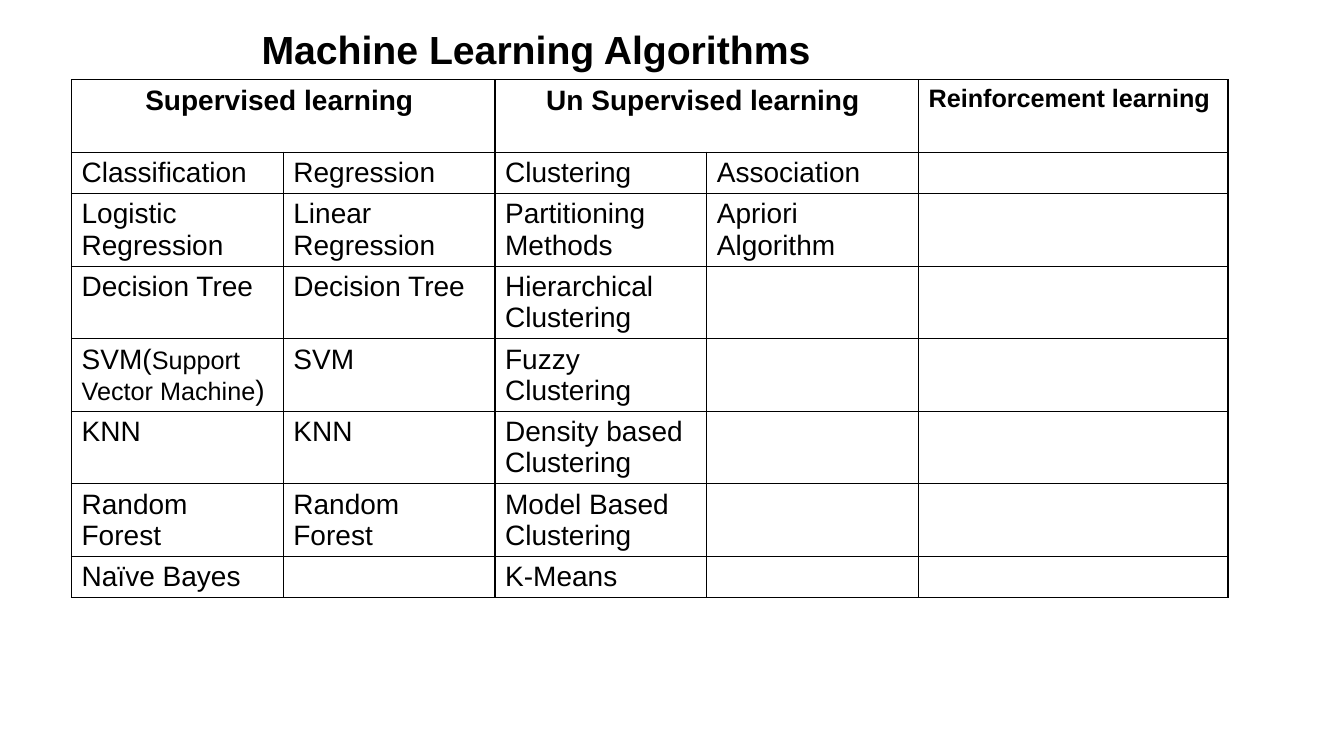
from lxml.etree import SubElement
from pptx import Presentation
from pptx.dml.color import RGBColor
from pptx.enum.text import MSO_ANCHOR, MSO_AUTO_SIZE, PP_ALIGN
from pptx.oxml.ns import qn
from pptx.util import Pt

BLACK = RGBColor(0x00, 0x00, 0x00)
FONT = "Arial"
EMU_PER_PX = 9144  # 100 px to the inch
TITLE_ONLY_LAYOUT = 5

COLUMN_WIDTHS = [210, 210, 210, 210, 307]
ROW_HEIGHTS = [72, 41, 72, 72, 72, 72, 72, 41]

# Header text: (first column, last column, size, alignment)
HEADERS = {
    "Supervised learning ": (0, 1, 20, PP_ALIGN.CENTER),
    "Un Supervised learning ": (2, 3, 20, PP_ALIGN.CENTER),
    "Reinforcement learning": (4, 4, 18, PP_ALIGN.LEFT),
}

# A list inside a row holds the (text, size) runs of one cell
SVM_RUNS = [("SVM(", 20), ("Support Vector Machine", 18), (")", 20)]
ALGORITHMS = [
    ["Classification", "Regression", "Clustering", "Association", ""],
    ["Logistic Regression", "Linear Regression", "Partitioning Methods",
     "Apriori Algorithm", ""],
    ["Decision Tree", "Decision Tree", "Hierarchical Clustering", "", ""],
    [SVM_RUNS, "SVM", "Fuzzy Clustering", "", ""],
    ["KNN", "KNN", "Density based Clustering", "", ""],
    ["Random Forest", "Random Forest", "Model Based Clustering", "", ""],
    ["Naïve Bayes", "", "K-Means", "", ""],
]


def px(length):
    return length * EMU_PER_PX


def add_text(paragraph, text, size=20, bold=False, align=PP_ALIGN.LEFT):
    paragraph.alignment = align
    run = paragraph.add_run()
    run.text = text
    run.font.name = FONT
    run.font.size = Pt(size)
    run.font.bold = bold
    run.font.color.rgb = BLACK


class SlideBuilder:
    def __init__(self, slide, border_color=BLACK, border_width=1):
        self.slide = slide
        self.border_color = border_color
        self.border_width = border_width

    def title(self, text, left, top, width, height):
        shape = self.slide.shapes.title
        shape.left, shape.top = px(left), px(top)
        shape.width, shape.height = px(width), px(height)
        frame = shape.text_frame
        frame.auto_size = MSO_AUTO_SIZE.NONE
        frame.vertical_anchor = MSO_ANCHOR.MIDDLE
        paragraph = frame.paragraphs[0]
        paragraph.line_spacing = 0.9
        add_text(paragraph, text, size=28, bold=True, align=PP_ALIGN.CENTER)

    def table(self, left, top, widths, heights):
        table = self.slide.shapes.add_table(
            len(heights), len(widths), px(left), px(top),
            px(sum(widths)), px(sum(heights))).table
        table.first_row = table.horz_banding = False
        for column, width in zip(table.columns, widths):
            column.width = px(width)
        for row, height in zip(table.rows, heights):
            row.height = px(height)
        for cell in table.iter_cells():
            self.border(cell)
            cell.fill.background()
        return table

    def border(self, cell):
        properties = cell._tc.get_or_add_tcPr()
        for side in ("a:lnL", "a:lnR", "a:lnT", "a:lnB"):
            line = SubElement(properties, qn(side), w=str(Pt(self.border_width)))
            fill = SubElement(line, qn("a:solidFill"))
            SubElement(fill, qn("a:srgbClr"), val=str(self.border_color))


def main():
    presentation = Presentation()
    presentation.slide_width = px(1333)
    presentation.slide_height = px(750)
    layout = presentation.slide_layouts[TITLE_ONLY_LAYOUT]
    builder = SlideBuilder(presentation.slides.add_slide(layout))

    # Title
    builder.title("Machine Learning Algorithms ", 71, 16, 932, 71)

    # Table grid
    table = builder.table(71, 79, COLUMN_WIDTHS, ROW_HEIGHTS)

    # Header row
    for text, (first, last, size, align) in HEADERS.items():
        cell = table.cell(0, first)
        if last > first:
            cell.merge(table.cell(0, last))
        add_text(cell.text_frame.paragraphs[0], text, size=size, bold=True,
                 align=align)

    # Algorithm rows
    for row, entries in enumerate(ALGORITHMS, start=1):
        for column, entry in enumerate(entries):
            if not entry:
                continue
            paragraph = table.cell(row, column).text_frame.paragraphs[0]
            runs = entry if isinstance(entry, list) else [(entry, 20)]
            for text, size in runs:
                add_text(paragraph, text, size=size)

    presentation.save("out.pptx")


if __name__ == "__main__":
    main()
